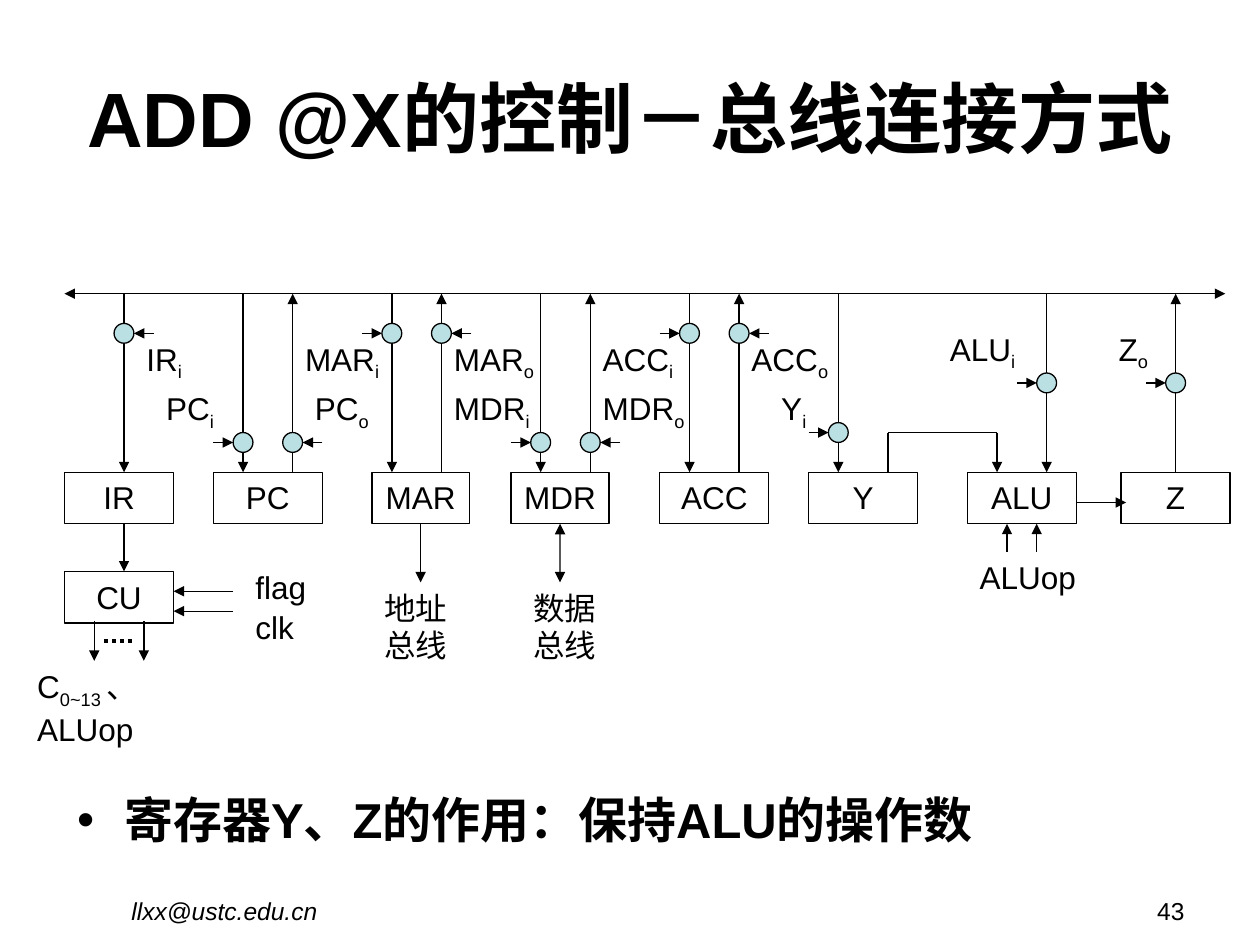
from lxml import etree
from pptx import Presentation
from pptx import util as u
from pptx.dml.color import RGBColor
from pptx.enum import dml, shapes, text
from pptx.oxml.ns import qn

BLACK = RGBColor(0x00, 0x00, 0x00)
GATE_BLUE = RGBColor(0xBB, 0xE0, 0xE3)
FONT = "Arial"

# Centimetres
BUS_Y = 5.92
BOX_TOP = 9.52
BOX_WIDTH, BOX_HEIGHT = 2.2, 1.04
BOX_BOTTOM = BOX_TOP + BOX_HEIGHT
CU_TOP = 11.52
GATE_RADIUS = 0.2
CONTROL_REACH = 0.6

REGISTERS = [  # name, left, width
    ("IR", 1.3, BOX_WIDTH), ("PC", 4.3, BOX_WIDTH), ("MAR", 7.5, 1.96),
    ("MDR", 10.3, 1.98), ("ACC", 13.3, BOX_WIDTH), ("Y", 16.3, BOX_WIDTH),
    ("ALU", 19.5, BOX_WIDTH), ("Z", 22.6, BOX_WIDTH),
]
LEFT, RIGHT = -1, 1
SIGNALS = [  # label, line x, gate y, control side, label left, label top
    ("IR_i", 2.5, 6.72, RIGHT, 2.7, 6.72),
    ("PC_i", 4.9, 8.92, LEFT, 3.1, 7.72),
    ("PC_o", 5.9, 8.92, RIGHT, 6.1, 7.72),
    ("MAR_i", 7.9, 6.72, LEFT, 5.9, 6.72),
    ("MAR_o", 8.9, 6.72, RIGHT, 8.9, 6.72),
    ("MDR_i", 10.9, 8.92, LEFT, 8.9, 7.72),
    ("MDR_o", 11.9, 8.92, RIGHT, 11.9, 7.72),
    ("ACC_i", 13.9, 6.72, LEFT, 11.9, 6.72),
    ("ACC_o", 14.9, 6.72, RIGHT, 14.9, 6.72),
    ("Y_i", 16.9, 8.72, LEFT, 15.5, 7.72),
    ("ALU_i", 21.1, 7.72, LEFT, 18.9, 6.52),
    ("Z_o", 23.7, 7.72, LEFT, 22.3, 6.52),
]
LABELS = [  # text, left, top, width, height
    ("flag", 4.9, 11.32, 1.5, 1.02),
    ("clk", 4.9, 12.14, 1.3, 1.02),
    ("ALUop", 19.5, 11.12, 2.46, 1.02),
    ("地址\n总线", 7.5, 11.74, 1.78, 1.78),
    ("数据\n总线", 10.5, 11.74, 1.78, 1.78),
]


def write_text(frame, content, size=18, bold=False, italic=False, align=None,
               wrap=True, anchor=text.MSO_ANCHOR.TOP, line_spacing=None):
    """Newlines split paragraphs; parts between underscores are subscripts."""
    frame.word_wrap = wrap
    frame.auto_size = text.MSO_AUTO_SIZE.NONE
    frame.vertical_anchor = anchor
    for index, line in enumerate(content.split("\n")):
        paragraph = frame.paragraphs[0] if index == 0 else frame.add_paragraph()
        paragraph.alignment = align
        paragraph.space_before = u.Pt(0)
        if line_spacing:
            paragraph.line_spacing = line_spacing
        for part_index, part in enumerate(line.split("_")):
            run = paragraph.add_run()
            run.text = part
            run.font.name = FONT
            run.font.size = u.Pt(size)
            run.font.bold = bold
            run.font.italic = italic
            run.font.color.rgb = BLACK
            if part_index % 2:
                run.font._element.set("baseline", "-25000")


class Diagram:
    """Holds the line style and the slide being drawn; lengths are in cm."""

    def __init__(self, slide, line_width=0.75):
        self.slide = slide
        self.line_width = u.Pt(line_width)

    def placeholder(self, index, content, left, top, width, height, **style):
        shape = self.slide.placeholders[index]
        shape.left, shape.top = u.Cm(left), u.Cm(top)
        shape.width, shape.height = u.Cm(width), u.Cm(height)
        write_text(shape.text_frame, content, bold=True, **style)

    def label(self, content, left, top, width=2, height=1.02, **style):
        shape = self.slide.shapes.add_textbox(
            u.Cm(left), u.Cm(top), u.Cm(width), u.Cm(height))
        write_text(shape.text_frame, content, **style)

    def outline(self, kind, left, top, width, height):
        shape = self.slide.shapes.add_shape(
            kind, u.Cm(left), u.Cm(top), u.Cm(width), u.Cm(height))
        shape.shadow.inherit = False
        shape.fill.background()
        shape.line.color.rgb = BLACK
        shape.line.width = self.line_width
        return shape

    def box(self, name, left, top, width=BOX_WIDTH):
        shape = self.outline(shapes.MSO_SHAPE.RECTANGLE, left, top, width, BOX_HEIGHT)
        write_text(shape.text_frame, name, align=text.PP_ALIGN.CENTER,
                   wrap=width == BOX_WIDTH)
        return shape

    def gate(self, x, y):
        shape = self.outline(shapes.MSO_SHAPE.FLOWCHART_CONNECTOR, x - GATE_RADIUS,
                             y - GATE_RADIUS, 2 * GATE_RADIUS, 2 * GATE_RADIUS)
        shape.fill.solid()
        shape.fill.fore_color.rgb = GATE_BLUE

    def line(self, x1, y1, x2, y2, ends=("tailEnd",)):
        """Draw a line with arrowheads: headEnd at the start, tailEnd at the end."""
        connector = self.slide.shapes.add_connector(
            shapes.MSO_CONNECTOR.STRAIGHT, u.Cm(x1), u.Cm(y1), u.Cm(x2), u.Cm(y2))
        connector.line.color.rgb = BLACK
        connector.line.width = self.line_width
        properties = connector._element.spPr
        for end in ends:
            etree.SubElement(properties.find(qn("a:ln")), qn("a:" + end), type="triangle")
        etree.SubElement(properties, qn("a:effectLst"))
        return connector

    def signal(self, name, x, gate_y, side, label_left, label_top):
        """Draw a bus line with its gate, control arrow and label."""
        if name.endswith("_o"):
            connector = self.line(x, BOX_TOP, x, BUS_Y)
        else:
            connector = self.line(x, BUS_Y, x, BOX_TOP)
        self.gate(x, gate_y)
        self.line(x + side * CONTROL_REACH, gate_y, x + side * GATE_RADIUS, gate_y)
        self.label(name, label_left, label_top, wrap=False)
        return connector


def main():
    presentation = Presentation()
    presentation.slide_width, presentation.slide_height = u.Cm(25.4), u.Cm(19.05)
    slide = presentation.slides.add_slide(presentation.slide_layouts[1])
    diagram = Diagram(slide)

    diagram.placeholder(0, "ADD @X的控制－总线连接方式", 1.27, 0.76, 22.86, 3.18, size=44,
                        align=text.PP_ALIGN.CENTER, anchor=text.MSO_ANCHOR.MIDDLE)
    diagram.placeholder(1, "寄存器Y、Z的作用：保持ALU的操作数", 1.3, 15.93, 22.86, 1.4,
                        size=28, line_spacing=0.9)

    boxes = {name: diagram.box(name, left, BOX_TOP, width)
             for name, left, width in REGISTERS}
    diagram.box("CU", 1.3, CU_TOP)

    diagram.line(1.3, BUS_Y, 24.7, BUS_Y, ends=("headEnd", "tailEnd"))
    lines = {signal[0]: diagram.signal(*signal) for signal in SIGNALS}
    lines["Z_o"].begin_connect(boxes["Z"], 0)

    # Y to ALU, ALU to Z
    diagram.line(17.9, 8.72, 17.9, BOX_TOP, ends=())
    diagram.line(17.9, 8.72, 20.1, 8.72, ends=())
    diagram.line(20.1, 8.72, 20.1, BOX_TOP)
    diagram.line(21.7, 10.13, 22.7, 10.13)
    for x in (20.3, 20.9):
        diagram.line(x, 11.12, x, BOX_BOTTOM)

    # External buses
    for name, x, ends in (("MAR", 8.48, ("tailEnd",)),
                          ("MDR", 11.29, ("headEnd", "tailEnd"))):
        connector = diagram.line(x, BOX_BOTTOM, x, 11.74, ends)
        connector.begin_connect(boxes[name], 2)

    # Control unit
    diagram.line(2.5, BOX_BOTTOM, 2.5, CU_TOP)
    for y in (11.92, 12.32):
        diagram.line(4.7, y, 3.5, y)
    for x in (1.9, 2.9):
        diagram.line(x, 12.52, x, 13.32)
    dots = diagram.line(2.1, 12.92, 2.7, 12.92, ends=())
    dots.line.width = u.Pt(2.25)
    dots.line.dash_style = dml.MSO_LINE.ROUND_DOT
    diagram.label("C_0~13 _、 ALUop", 0.5, 13.32, 3.4, 1.8)

    for label in LABELS:
        diagram.label(*label, wrap=False)
    diagram.label("llxx@ustc.edu.cn", 0.5, 17.93, 8.05, 0.74, size=14, italic=True,
                  align=text.PP_ALIGN.CENTER)
    diagram.label("43", 18.21, 17.93, 5.92, 0.74, size=14, align=text.PP_ALIGN.RIGHT)

    presentation.save("out.pptx")


if __name__ == "__main__":
    main()
